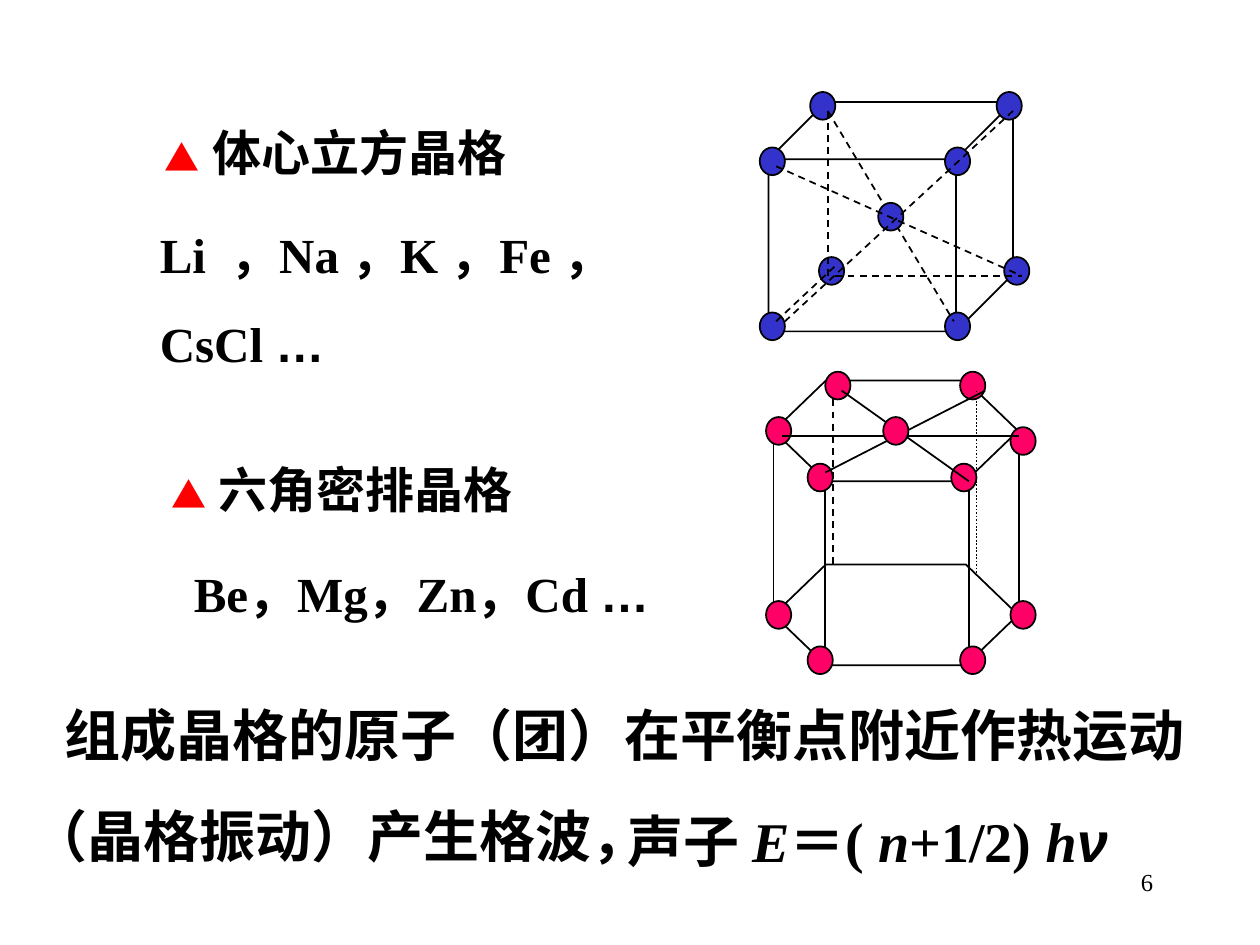
"""Build the slide on body-centred cubic and hexagonal close-packed lattices."""
from itertools import product
from lxml import etree
from pptx import Presentation
from pptx import util as u
from pptx.dml.color import RGBColor
from pptx.enum import dml, shapes, text
from pptx.oxml.ns import qn

THEME = {
    "ink": RGBColor(0x00, 0x00, 0x00),
    "marker": RGBColor(0xFF, 0x00, 0x00),
    "cubic": RGBColor(0x33, 0x33, 0xCC),
    "hexagonal": RGBColor(0xFF, 0x00, 0x66),
    "serif": "Times New Roman",
    "sans": "Arial",
    "chinese": "Noto Sans CJK SC",
    "page_number": 14, "triangle": 20, "heading": 28, "formula": 32,
}
SOLID, DASH, DOT = dml.MSO_LINE.SOLID, dml.MSO_LINE.DASH, dml.MSO_LINE.ROUND_DOT
ATOM = (2, 2.2)

deck = Presentation()
deck.slide_width, deck.slide_height = u.Inches(10), u.Inches(7.5)
page = deck.slides.add_slide(deck.slide_layouts[6])
CELL = deck.slide_width / 100


def place(*cells):
    """Turn grid columns and rows into slide lengths."""
    return [int(CELL * cell) for cell in cells]


def set_font(font, size=None, face=None, colour=None, bold=None, italic=None):
    """Apply the given type settings, with a Chinese face beside the Latin one."""
    if size:
        font.size = u.Pt(size)
    if face:
        font.name = face
        latin = font._element.find(qn("a:latin"))
        east = etree.Element(qn("a:ea"), typeface=THEME["chinese"])
        latin.addnext(east)
    if colour is not None:
        font.color.rgb = colour
    if bold is not None:
        font.bold = bold
    if italic is not None:
        font.italic = italic


edge_x = (61.4, 65.5, 76.9, 80.9)
edge_top = (34.6, 38.2, 38.2, 34.6)
edge_height = 14.6
lattices = [
    {
        "colour": THEME["cubic"],
        "outlines": [(shapes.MSO_SHAPE.CUBE, 0.25, (61, 8.1, 19.4, 18.2))],
        "stages": [
            (SOLID, [], [*product((60.3, 75), (11.7, 24.8)), (64.3, 7.3), (79.1, 7.3),
                         (79.7, 20.4), (65, 20.4)]),
            (DASH, [(65.7, 8.8, 75.7, 25.5)], [(69.7, 16.1)]),
            (DASH, [(61.6, 13.2, 81.1, 21.9), (65.7, 8.8, 65.7, 21.9),
                    (61.6, 25.5, 66.3, 21.1), (66.3, 21.9, 81.1, 21.9),
                    (80.4, 8.8, 62.3, 25.5)], []),
        ],
    },
    {
        "colour": THEME["hexagonal"],
        "outlines": [(shapes.MSO_SHAPE.HEXAGON, 0.519, (61.4, top, 19.4, 8))
                     for top in (30.2, 30.2 + edge_height)],
        "stages": [
            (SOLID, [(x, y, x, y + edge_height) for x, y in zip(edge_x, edge_top)],
             [(60.8, 33.1), (64.1, 36.8), (75.5, 36.8), (80.2, 33.9), (76.2, 29.5),
              (65.5, 29.5), (60.8, 47.7), (64.1, 51.3), (76.2, 51.3), (80.2, 47.7)]),
            (DASH, [(66.1, 31.7, 66.1, 44.8)], []),
            (DOT, [(77.5, 31, 77.5, 45.5)], []),
            (SOLID, [(62.1, 34.6, 80.9, 34.6), (66.8, 31, 76.9, 38.2),
                     (65.5, 37.5, 78.2, 31)], [(70.1, 33.1)]),
        ],
    },
]

for lattice in lattices:
    group = page.shapes.add_group_shape()
    for kind, adjustment, frame in lattice["outlines"]:
        outline = group.shapes.add_shape(kind, *place(*frame))
        outline.adjustments[0] = adjustment
        outline.shadow.inherit = False
        outline.fill.background()
        outline.line.color.rgb, outline.line.width = THEME["ink"], u.Pt(1)
    for dash, bonds, atoms in lattice["stages"]:
        for ends in bonds:
            bond = group.shapes.add_connector(shapes.MSO_CONNECTOR.STRAIGHT, *place(*ends))
            bond.line.color.rgb, bond.line.width = THEME["ink"], u.Pt(1)
            bond.line.dash_style = dash
            etree.SubElement(bond._element.spPr, qn("a:effectLst"))
        for corner in atoms:
            atom = group.shapes.add_shape(shapes.MSO_SHAPE.OVAL, *place(*corner, *ATOM))
            atom.shadow.inherit = False
            atom.fill.solid()
            atom.fill.fore_color.rgb = lattice["colour"]
            atom.line.color.rgb, atom.line.width = THEME["ink"], u.Pt(1)

triangle = ("▲", {"size": THEME["triangle"], "face": THEME["chinese"],
                  "colour": THEME["marker"]})
gap = (" ", {"size": THEME["formula"]})
ellipsis = ("…", {"face": THEME["sans"]})
italic = {"italic": True}
heading, formula = THEME["heading"], THEME["formula"]
blocks = [
    ((12.1, 8.6, 47, 6.4), heading, [[triangle, gap, ("体心立方晶格", {})]]),
    ((12.6, 35.4, 46.5, 6.4), heading, [[triangle, gap, ("六角密排晶格", {})]]),
    ((4.1, 55.1, 102.8, 6.4), formula, [[("组成晶格的原子（团）在平衡点附近作热运动", {})]]),
    ((1.5, 63.1, 61.2, 6.4), formula, [[("（晶格振动）产生格波，", {})]]),
    ((11.7, 17.3, 44.4, 12.8), heading, [[("Li\t，Na ，K ，Fe ，", {})],
                                         [("CsCl ", {}), ellipsis]]),
    ((14.4, 44.2, 49.8, 5.7), heading, [[("Be，Mg，Zn，Cd ", {}), ellipsis]]),
    ((48.8, 63.5, 46.8, 6.4), formula, [[
        ("声子 ", {}), ("E", italic), ("＝(", {}), (" n", italic), ("+1/2) ", {}),
        ("h", italic), ("ν", {"face": THEME["sans"], "italic": True})]]),
    ((71.7, 68.3, 20.8, 5), THEME["page_number"], [[("6", {})]]),
]

for frame, size, lines in blocks:
    is_number = size == THEME["page_number"]
    box = page.shapes.add_textbox(*place(*frame))
    box.text_frame.word_wrap = len(lines) == 1
    box.text_frame.vertical_anchor = (
        text.MSO_ANCHOR.TOP if is_number else text.MSO_ANCHOR.MIDDLE)
    for index, spans in enumerate(lines):
        para = box.text_frame.add_paragraph() if index else box.text_frame.paragraphs[0]
        para.alignment = text.PP_ALIGN.RIGHT if is_number else text.PP_ALIGN.LEFT
        if index:
            para.space_before = u.Pt(17.5)
        if "\t" in spans[0][0]:
            stops = etree.SubElement(para._p.get_or_add_pPr(), qn("a:tabLst"))
            etree.SubElement(stops, qn("a:tab"), pos=str(place(5.6)[0]), algn="l")
        set_font(para.font, size, THEME["serif"], THEME["ink"], not is_number)
        for words, style in spans:
            span = para.add_run()
            span.text = words
            set_font(span.font, **style)

deck.save("out.pptx")
